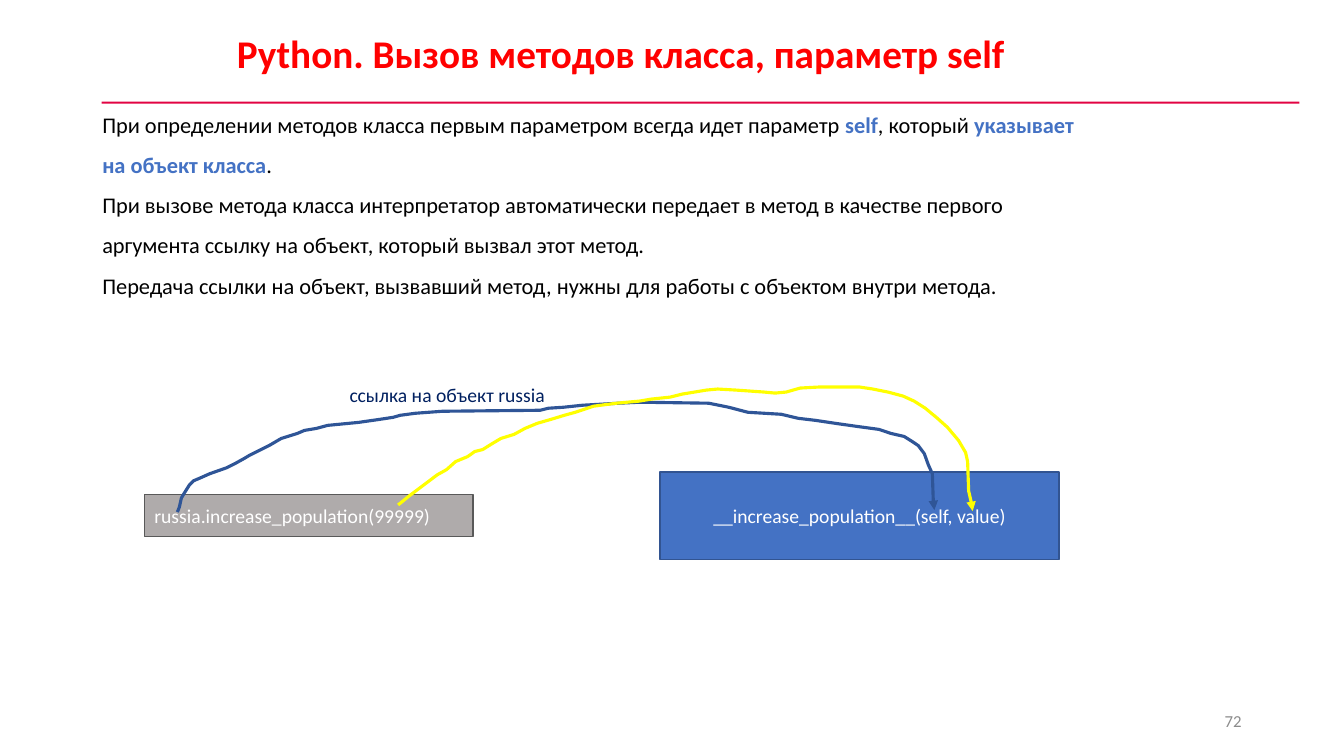
import pptx
import pptx.util
import pptx.dml.color
import pptx.enum.shapes
import pptx.enum.text
import pptx.oxml.ns
import lxml.etree

presentation = pptx.Presentation()
presentation.slide_width = pptx.util.Emu(12192000)
presentation.slide_height = pptx.util.Inches(7.5)
column = presentation.slide_width / 160
row = presentation.slide_height / 90
slide = presentation.slides.add_slide(presentation.slide_layouts[5])
rectangle = pptx.enum.shapes.MSO_SHAPE.RECTANGLE
align = pptx.enum.text.PP_ALIGN
anchor = pptx.enum.text.MSO_ANCHOR


def color(value):
    return pptx.dml.color.RGBColor.from_string(value)


def grid(left, top, width, height):
    return [int(left * column), int(top * row), int(width * column), int(height * row)]


rule = slide.shapes.add_shape(rectangle, *grid(12.1, 12.1, 142.6, 0.24))
rule.shadow.inherit = False
rule.fill.solid()
rule.fill.fore_color.rgb = color("E20443")
rule.line.fill.background()

title = slide.shapes.title
title.left, title.top, title.width, title.height = grid(27, 2.9, 128.5, 6.8)
number = slide.shapes.add_textbox(*grid(113, 83.4, 36, 4.8))
body = slide.shapes.add_textbox(*grid(11, 11, 118.2, 25))
method_box = slide.shapes.add_shape(rectangle, *grid(78.6, 56.2, 47.5, 10.4))
call_box = slide.shapes.add_shape(rectangle, *grid(17.2, 58.9, 39.1, 5))

for box, fill, line in [(method_box, "4472C4", "325491"), (call_box, "AFABAB", "595959")]:
    box.shadow.inherit = False
    box.fill.solid()
    box.fill.fore_color.rgb = color(fill)
    box.line.color.rgb = color(line)
    box.line.width = pptx.util.Pt(1)

object_path = [
    (176, 508), (178, 503), (180, 494), (183, 489), (188, 481), (192, 477), (199, 474),
    (208, 470), (225, 464), (233, 460), (242, 455), (247, 452), (257, 447), (267, 442),
    (279, 435), (295, 430), (302, 427), (314, 425), (325, 422), (356, 419), (377, 416),
    (390, 414), (397, 412), (412, 410), (439, 408), (536, 407), (544, 405), (559, 404),
    (578, 402), (614, 400), (635, 399), (703, 400), (713, 402), (723, 404), (742, 409),
    (775, 411), (792, 415), (809, 417), (829, 420), (850, 423), (872, 426), (884, 430),
    (897, 433), (905, 438), (911, 442), (917, 450), (921, 461), (925, 470), (926, 498),
    (927, 506),
]
value_path = [
    (395, 501), (406, 492), (418, 483), (434, 471), (443, 466), (452, 458), (464, 453),
    (471, 448), (479, 446), (487, 441), (497, 435), (510, 431), (521, 425), (533, 420),
    (547, 416), (560, 412), (571, 409), (589, 403), (612, 400), (634, 398), (646, 396),
    (665, 394), (677, 391), (701, 387), (712, 386), (730, 387), (758, 389), (769, 390),
    (780, 389), (794, 385), (812, 384), (853, 384), (866, 386), (881, 389), (896, 393),
    (907, 398), (918, 405), (930, 415), (940, 424), (951, 437), (958, 449), (960, 458),
    (961, 487), (964, 500), (965, 507),
]
for points, line in [(object_path, "2F5597"), (value_path, "FFFF00")]:
    builder = slide.shapes.build_freeform(*points[0], scale=column * 0.12)
    builder.add_line_segments(points[1:], close=False)
    curve = builder.convert_to_shape()
    curve.shadow.inherit = False
    curve.fill.background()
    curve.line.color.rgb = color(line)
    curve.line.width = pptx.util.Pt(2.25)
    outline = curve.line.fill._xPr
    lxml.etree.SubElement(outline, pptx.oxml.ns.qn("a:round"))
    lxml.etree.SubElement(outline, pptx.oxml.ns.qn("a:tailEnd"), type="triangle")

label = slide.shapes.add_textbox(*grid(40.3, 45, 25.9, 4.1))

texts = [
    (title, "Python. Вызов методов класса, параметр self", 28, "FF0000", align.LEFT, anchor.TOP),
    (number, "72", 12, "8C8C8C", align.RIGHT, anchor.MIDDLE),
    (method_box, "__increase_population__(self, value)", 14, "FFFFFF", align.CENTER, anchor.MIDDLE),
    (call_box, "russia.increase_population(99999)", 14, "FFFFFF", align.LEFT, anchor.MIDDLE),
    (label, "ссылка на объект russia", 14, "002060", align.CENTER, anchor.TOP),
]
for shape, text, size, ink, alignment, vertical in texts:
    frame = shape.text_frame
    frame.text = text
    frame.word_wrap = shape is not label
    frame.auto_size = pptx.enum.text.MSO_AUTO_SIZE.NONE
    frame.vertical_anchor = vertical
    frame.paragraphs[0].alignment = alignment
    font = frame.paragraphs[0].runs[0].font
    font.name = "Calibri"
    font.size = pptx.util.Pt(size)
    font.bold = shape is title
    font.color.rgb = color(ink)

body_paragraphs = [
    ["При определении методов класса первым параметром всегда идет параметр ", "self",
     ", который ", "указывает на объект класса", "."],
    ["При вызове метода класса интерпретатор автоматически передает в метод в качестве "
     "первого аргумента ссылку на объект, который вызвал этот метод."],
    ["Передача ссылки на объект, вызвавший метод, нужны для работы с объектом внутри метода."],
]
body.text_frame.word_wrap = True
for index, pieces in enumerate(body_paragraphs):
    paragraph = body.text_frame.add_paragraph() if index else body.text_frame.paragraphs[0]
    paragraph.line_spacing = 1.5
    for position, piece in enumerate(pieces):
        highlighted = position % 2 == 1
        run = paragraph.add_run()
        run.text = piece
        run.font.name = "Calibri"
        run.font.size = pptx.util.Pt(16)
        run.font.bold = highlighted
        run.font.color.rgb = color("4472C4" if highlighted else "000000")

presentation.save("out.pptx")
